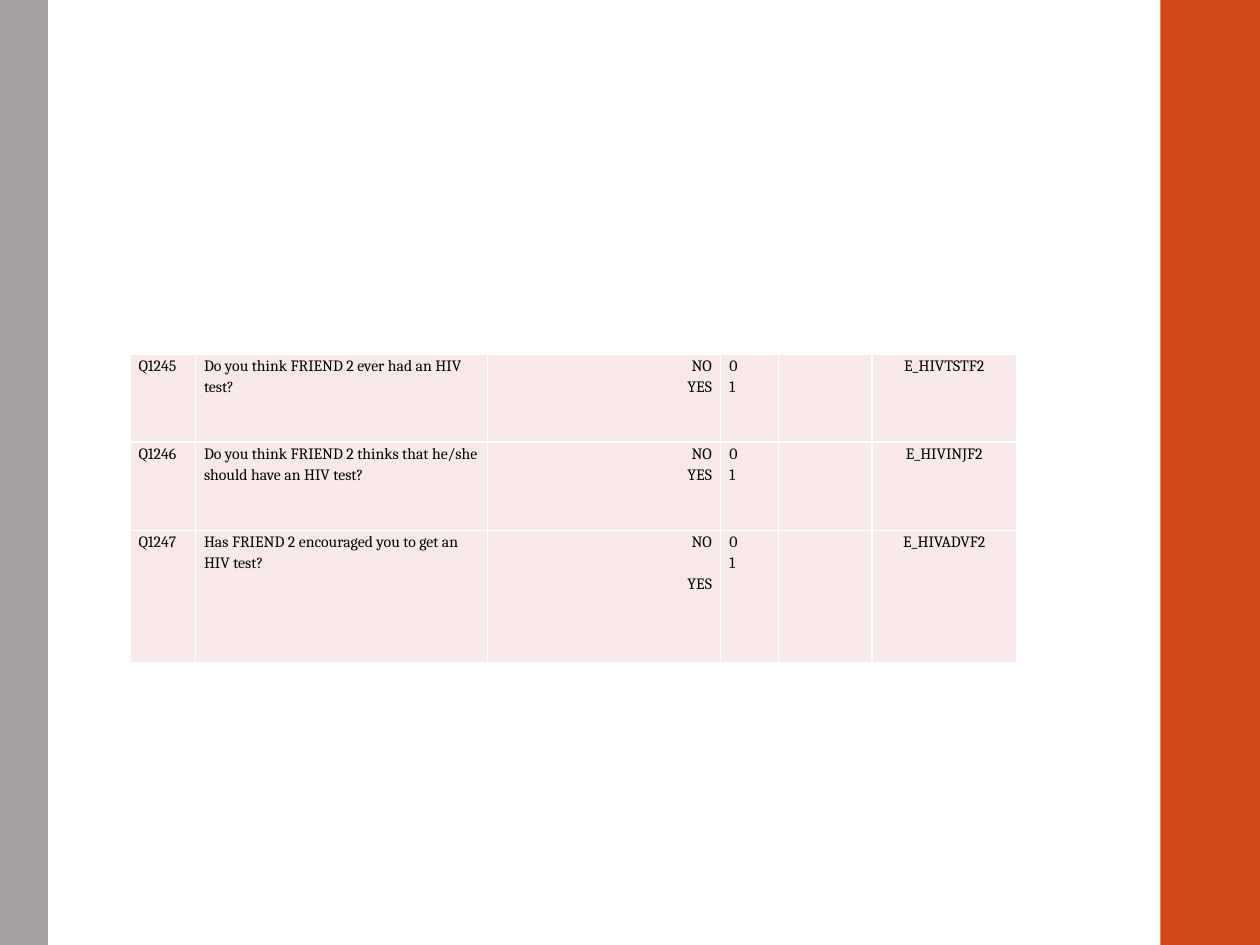
from lxml import etree
from pptx import Presentation
from pptx import util as u
from pptx.dml.color import RGBColor
from pptx.enum import shapes, text
from pptx.oxml import ns

LEFT, RIGHT, CENTER = text.PP_ALIGN.LEFT, text.PP_ALIGN.RIGHT, text.PP_ALIGN.CENTER
BANDS = [(9.21, 0.79, "D34817"), (0, 0.38, "A6A1A1")]
QUESTIONS = [
    ("Q1245", "Do you think FRIEND 2 ever had an HIV test?", "E_HIVTSTF2", 0.7, 0),
    ("Q1246", "Do you think FRIEND 2 thinks that he/she should have an HIV test?",
     "E_HIVINJF2", 0.7, 0),
    ("Q1247", "Has FRIEND 2 encouraged you to get an HIV test?", "E_HIVADVF2", 1.05, 12),
]
ANSWERS, CODES = "NO\nYES", "0\n1"
COLUMNS = [(0.52, LEFT), (2.32, LEFT), (1.85, RIGHT), (0.46, LEFT), (0.74, LEFT), (1.15, CENTER)]
TABLE_LEFT, TABLE_TOP = 1.03, 2.81
CELL_FILL, BORDER, INK = "F7E9E8", "FFFFFF", "000000"


def paint(fill, color):
    fill.solid()
    fill.fore_color.rgb = RGBColor.from_string(color)


def add_band(s, left, width, color):
    sp = s.shapes.add_shape(shapes.MSO_SHAPE.RECTANGLE, u.Inches(left), 0,
                            u.Inches(width), u.Inches(7.5))
    sp.shadow.inherit = False
    paint(sp.fill, color)
    sp.line.fill.background()


def add_borders(cell):
    tc_pr = cell._tc.get_or_add_tcPr()
    for side in "LRTB":
        ln = etree.SubElement(tc_pr, ns.qn(f"a:ln{side}"), w=str(u.Pt(1)))
        fill = etree.SubElement(ln, ns.qn("a:solidFill"))
        etree.SubElement(fill, ns.qn("a:srgbClr"), val=BORDER)


def fill_cell(cell, words, align, gap):
    add_borders(cell)
    paint(cell.fill, CELL_FILL)
    cell.margin_left = cell.margin_right = u.Inches(0.07)
    cell.margin_top = cell.margin_bottom = 0
    tf = cell.text_frame
    tf.text = words
    for i, p in enumerate(tf.paragraphs):
        p.alignment = align
        p.line_spacing = 1.15
        p.space_before = u.Pt(gap if i else 0)
        p.font.size = u.Pt(9)
        for r in p.runs:
            r.font.size = u.Pt(9)
            r.font.name = "Cambria"
            r.font.color.rgb = RGBColor.from_string(INK)


def add_questions(s):
    width = sum(w for w, _ in COLUMNS)
    height = sum(q[3] for q in QUESTIONS)
    table = s.shapes.add_table(len(QUESTIONS), len(COLUMNS), u.Inches(TABLE_LEFT),
                               u.Inches(TABLE_TOP), u.Inches(width), u.Inches(height)).table
    table.first_row = table.horz_banding = False
    for column, (w, _) in zip(table.columns, COLUMNS):
        column.width = u.Inches(w)
    for row, (number, question, variable, h, answer_gap) in zip(table.rows, QUESTIONS):
        row.height = u.Inches(h)
        values = [number, question, ANSWERS, CODES, "", variable]
        for cell, words, (_, align) in zip(row.cells, values, COLUMNS):
            fill_cell(cell, words, align, answer_gap if words == ANSWERS else 0)


def main():
    prs = Presentation()
    prs.slide_width, prs.slide_height = u.Inches(10), u.Inches(7.5)
    s = prs.slides.add_slide(prs.slide_layouts[6])
    for band in BANDS:
        add_band(s, *band)
    add_questions(s)
    prs.save("out.pptx")


if __name__ == "__main__":
    main()
